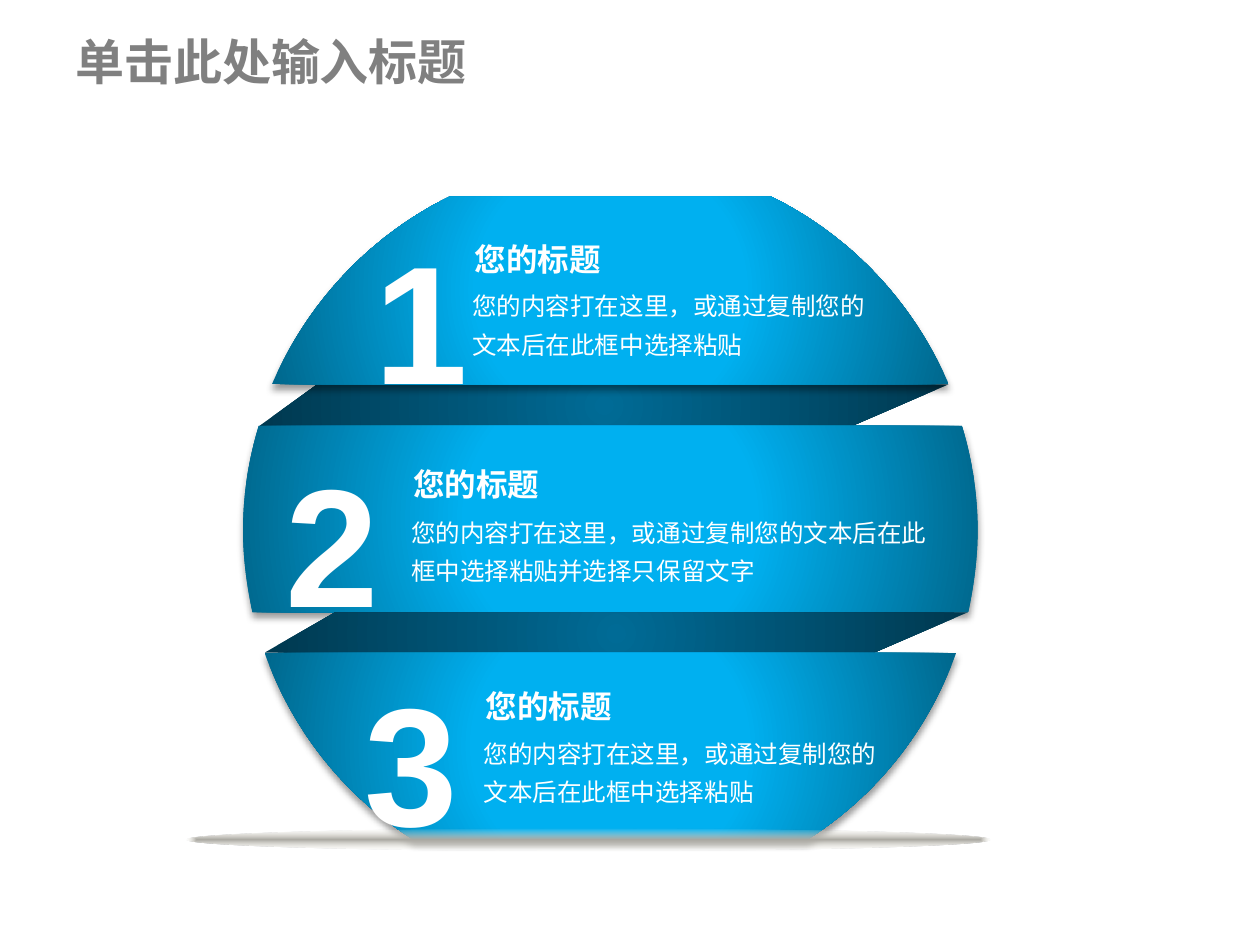
from lxml import etree
from pptx import Presentation
from pptx.dml.color import RGBColor
from pptx.enum.shapes import MSO_SHAPE
from pptx.enum.text import MSO_ANCHOR, MSO_AUTO_SIZE, PP_ALIGN
from pptx.oxml.ns import qn
from pptx.util import Pt

OVAL = MSO_SHAPE.OVAL
MIDDLE = MSO_ANCHOR.MIDDLE
GROW = MSO_AUTO_SIZE.SHAPE_TO_FIT_TEXT
LEFT, CENTER = PP_ALIGN.LEFT, PP_ALIGN.CENTER

COLORS = {
    "title": "808080",
    "white": "FFFFFF",
    "band_inner": "00B0F0",
    "band_outer": "00688E",
    "fold_inner": "006B96",
    "fold_outer": "003950",
    "ground": "EEECE1",
    "shadow": "000000",
}
LATIN, CHINESE = "Arial", "Noto Sans CJK SC"
GLOBE_X = 348.8

BAND_STOPS = [(38, "band_inner", {}), (99, "band_outer", {})]
FOLD_STOPS = [(0, "fold_inner", {}), (99, "fold_outer", {})]
GROUND_STOPS = [(0, "ground", {"shade": 47}), (100, "ground", {"alpha": 0})]

TOP_EDGE = [(91.8, 112.3), (137.2, 134.6), (173.2, 172.8), (193.4, 219.6)]
MIDDLE_EDGE = [(200.9, 243.4), (206.6, 262.1), (209.9, 282.2), (209.9, 303.1),
               (209.9, 319), (207.7, 334.8), (204.5, 349.9)]
BOTTOM_EDGE = [(197.6, 373), (181.7, 417.6), (151.6, 455), (112.9, 479.5)]
UPPER_FOLD = [(181.4, 219.6), (542.2, 219.6), (485.3, 244.1), (148.3, 243.4)]
LOWER_FOLD = [(191.5, 349.9), (553, 349.9), (496.1, 374.4), (151.2, 373)]

SHORT_TEXT = "您的内容打在这里，或通过复制您的文本后在此框中选择粘贴"
LONG_TEXT = SHORT_TEXT + "并选择只保留文字"
ITEMS = [
    ("1", (207, 85.7), (264.2, 127.4), (262.8, 158), 247.7, SHORT_TEXT),
    ("2", (156.2, 213.1), (229, 255.6), (227.8, 287.6), 310.3, LONG_TEXT),
    ("3", (201.4, 338), (270.4, 382.3), (269.3, 413.5), 247.7, SHORT_TEXT),
]


def add_color(parent, color, changes):
    node = etree.SubElement(parent, qn("a:srgbClr"), val=COLORS[color])
    for name, percent in changes.items():
        etree.SubElement(node, qn("a:" + name), val=str(percent * 1000))


def fill_gradient(shape, stops, path):
    shape.shadow.inherit = False
    shape.line.fill.background()
    shape.fill.gradient()
    gradient = shape._element.spPr.find(qn("a:gradFill"))
    for child in list(gradient):
        gradient.remove(child)
    stop_list = etree.SubElement(gradient, qn("a:gsLst"))
    for position, color, changes in stops:
        stop = etree.SubElement(stop_list, qn("a:gs"), pos=str(position * 1000))
        add_color(stop, color, changes)
    focus = etree.SubElement(gradient, qn("a:path"), path=path)
    sides = {side: "50000" for side in "ltrb"}
    etree.SubElement(focus, qn("a:fillToRect"), **sides)


def add_shadow(shape):
    effects = shape._element.spPr.find(qn("a:effectLst"))
    shadow = etree.SubElement(
        effects, qn("a:outerShdw"), blurRad=str(Pt(4)), dist=str(Pt(3)),
        dir="5400000", algn="t", rotWithShape="0")
    add_color(shadow, "shadow", {"alpha": 40})


def add_outline(page, points, stops):
    corners = [(Pt(x), Pt(y)) for x, y in points]
    builder = page.shapes.build_freeform(*corners[0])
    builder.add_line_segments(corners[1:], close=True)
    shape = builder.convert_to_shape()
    fill_gradient(shape, stops, "circle")
    return shape


def bend(lines, first, count):
    for start in range(first, first + count, 3):
        group = lines[start:start + 3]
        curve = etree.Element(qn("a:cubicBezTo"))
        group[0].addprevious(curve)
        for line in group:
            curve.append(line[0])
            line.getparent().remove(line)


def add_band(page, edge):
    right = [(GLOBE_X + half, y) for half, y in edge]
    left = [(GLOBE_X - half, y) for half, y in edge[::-1]]
    band = add_outline(page, left[-1:] + right + left, BAND_STOPS)
    lines = list(band._element.iter(qn("a:lnTo")))
    count = len(edge) - 1
    bend(lines, 1, count)
    bend(lines, count + 2, count)
    add_shadow(band)


def add_ground(page, left, top, width, height):
    ground = page.shapes.add_shape(OVAL, Pt(left), Pt(top), Pt(width), Pt(height))
    fill_gradient(ground, GROUND_STOPS, "shape")


def add_text(page, place, size, text, font_name, font_size, color="white",
             bold=False, align=LEFT, spacing=1.3):
    box = page.shapes.add_textbox(*map(Pt, place + size))
    frame = box.text_frame
    frame.word_wrap = True
    para = frame.paragraphs[0]
    para.alignment = align
    para.line_spacing = spacing
    span = para.add_run()
    span.text = text
    span.font.name = font_name
    span.font.size = Pt(font_size)
    span.font.bold = bold
    span.font.color.rgb = RGBColor.from_string(COLORS[color])
    etree.SubElement(span.font._element, qn("a:ea"), typeface=font_name)
    return frame


def add_title(page, text):
    frame = add_text(page, (36, 14.8), (648, 40.3), text, CHINESE, 28,
                     "title", bold=True, spacing=1.0)
    frame.vertical_anchor = MIDDLE


def add_item(page, number, number_at, heading_at, body_at, body_width, body):
    frames = [
        add_text(page, number_at, (65.5, 143.3), number, LATIN, 96,
                 bold=True, align=CENTER),
        add_text(page, heading_at, (115.9, 33.1), "您的标题", CHINESE, 18, bold=True),
        add_text(page, body_at, (body_width, 49), body, CHINESE, 14),
    ]
    for frame in frames:
        frame.auto_size = GROW


def main():
    deck = Presentation()
    deck.slide_width, deck.slide_height = Pt(720), Pt(540)
    page = deck.slides.add_slide(deck.slide_layouts[6])
    add_title(page, "单击此处输入标题")
    add_outline(page, UPPER_FOLD, FOLD_STOPS)
    add_band(page, MIDDLE_EDGE)
    add_outline(page, LOWER_FOLD, FOLD_STOPS)
    add_band(page, TOP_EDGE)
    add_band(page, BOTTOM_EDGE)
    for item in ITEMS:
        add_item(page, *item)
    add_ground(page, 106.6, 473.8, 459.4, 12.2)
    deck.save("out.pptx")


if __name__ == "__main__":
    main()
